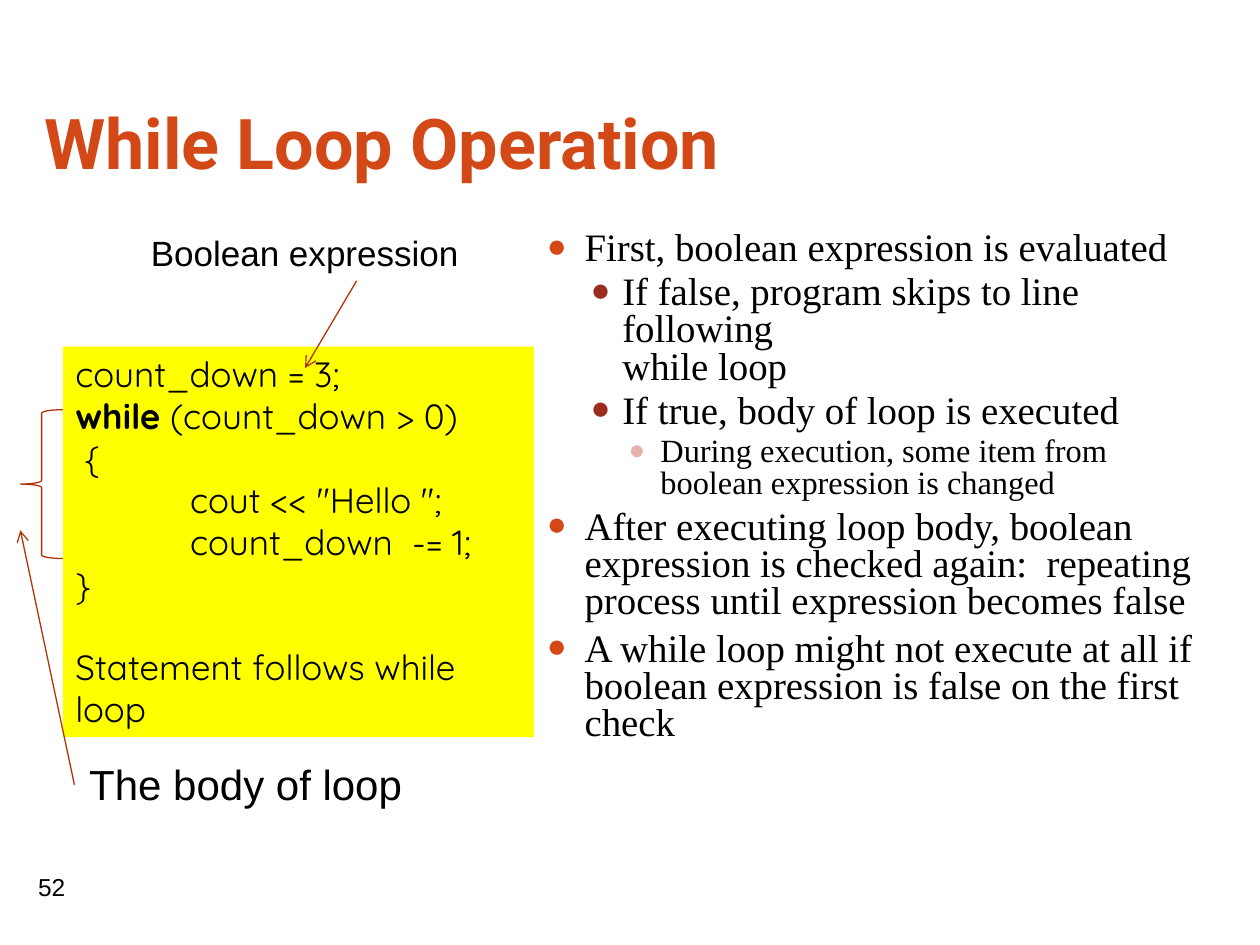
from lxml.etree import SubElement
from pptx import Presentation
from pptx.dml.color import RGBColor
from pptx.enum.shapes import MSO_CONNECTOR, MSO_SHAPE
from pptx.enum.text import MSO_ANCHOR, MSO_AUTO_SIZE, PP_ALIGN
from pptx.oxml.ns import qn
from pptx.util import Cm, Pt

ORANGE = RGBColor(0xD3, 0x48, 0x17)
DARK_RED = RGBColor(0x9B, 0x2D, 0x1F)
PINK = RGBColor(0xE6, 0xB1, 0xAB)
RUST = RGBColor(0xAF, 0x34, 0x08)
YELLOW = RGBColor(0xFF, 0xFF, 0x00)
BLACK = RGBColor(0, 0, 0)

# Level: left margin, hanging indent (cm), space before, text size, bullet colour
LEVELS = [
    (0.76, 0.76, 5.8, 22.2, ORANGE),
    (1.52, 0.64, 3.7, 22.2, DARK_RED),
    (2.29, 0.64, 3.7, 18.5, PINK),
]
STEPS = [
    (0, "First, boolean expression is evaluated"),
    (1, "If false, program skips to line following \nwhile loop"),
    (1, "If true, body of loop is executed"),
    (2, "During execution, some item from boolean expression is changed"),
    (0, "After executing loop body, boolean \nexpression is checked again:  repeating  "
        "process until expression becomes false"),
    (0, "A while loop might not execute at all if \n"
        "boolean expression is false on the first check"),
]
LOOP_CODE = """ (count_down > 0)
 {
            cout << "Hello ";
            count_down  -= 1;
}"""


def apply(target, formats):
    for name, value in formats.items():
        setattr(target, name, value)


def place(shape, box):
    apply(shape, dict(zip(("left", "top", "width", "height"), map(Cm, box))))


def write(para, text, name, size, color=BLACK, bold=False):
    for number, line in enumerate(text.split("\n")):
        if number:
            para.add_line_break()
        span = para.add_run()
        span.text = line
        apply(span.font, {"name": name, "size": Pt(size), "bold": bold})
        span.font.color.rgb = color


def add_bullet(para, margin, hanging, color):
    props = para._p.get_or_add_pPr()
    props.set("marL", str(Cm(margin)))
    props.set("indent", str(-Cm(hanging)))
    fill = SubElement(props, qn("a:buClr"))
    SubElement(fill, qn("a:srgbClr"), val=str(color))
    SubElement(props, qn("a:buSzPct"), val="85000")
    SubElement(props, qn("a:buChar"), char="●")


def add_plain_shape(page, kind, box):
    shape = page.shapes.add_shape(kind, *map(Cm, box))
    shape.shadow.inherit = False
    shape.fill.background()
    shape.line.fill.background()
    return shape


def add_label(page, box, text, size):
    label = page.shapes.add_textbox(*map(Cm, box))
    apply(label.text_frame, {"word_wrap": False, "auto_size": MSO_AUTO_SIZE.SHAPE_TO_FIT_TEXT})
    write(label.text_frame.paragraphs[0], text, "Arial", size)


def add_arrow(page, start, end):
    arrow = page.shapes.add_connector(MSO_CONNECTOR.STRAIGHT, *map(Cm, start + end))
    arrow.line.color.rgb = RUST
    arrow.line.width = Pt(0.75)
    SubElement(arrow.line._get_or_add_ln(), qn("a:tailEnd"), type="arrow")
    SubElement(arrow._element.spPr, qn("a:effectLst"))


def fill_title(page, box):
    title = page.shapes.title
    place(title, box)
    apply(title.text_frame, {
        "vertical_anchor": MSO_ANCHOR.BOTTOM, "margin_bottom": Cm(0.25),
        "auto_size": MSO_AUTO_SIZE.NONE, "word_wrap": True,
    })
    para = title.text_frame.paragraphs[0]
    para.alignment = PP_ALIGN.LEFT
    write(para, "While Loop Operation", "Roboto", 40, ORANGE, True)


def fill_steps(page, box):
    body = page.placeholders[1]
    place(body, box)
    frame = body.text_frame
    apply(frame, {"auto_size": MSO_AUTO_SIZE.NONE, "word_wrap": True})
    for number, (level, text) in enumerate(STEPS):
        para = frame.add_paragraph() if number else frame.paragraphs[0]
        margin, hanging, before, size, color = LEVELS[level]
        add_bullet(para, margin, hanging, color)
        apply(para, {"level": level, "line_spacing": 0.8,
                     "space_before": Pt(before if number else 0)})
        write(para, text, "Times New Roman", size)


def add_code_region(page, box):
    left, top = box[:2]

    def at(x, y, *size):
        return (left + x, top + y, *size)

    # Code listing
    code = add_plain_shape(page, MSO_SHAPE.RECTANGLE, at(0.86, 2.44, 9.5, 7.87))
    code.fill.solid()
    code.fill.fore_color.rgb = YELLOW
    frame = code.text_frame
    apply(frame, {"word_wrap": True, "vertical_anchor": MSO_ANCHOR.TOP})
    first, loop, after = frame.paragraphs[0], frame.add_paragraph(), frame.add_paragraph()
    for para in (first, loop, after):
        para.alignment = PP_ALIGN.LEFT
    write(first, "count_down = 3;", "Quicksand", 20)
    write(loop, "while", "Quicksand", 20, bold=True)
    write(loop, LOOP_CODE, "Quicksand", 20)
    after.space_before = Pt(23)
    write(after, "Statement follows while loop", "Quicksand", 20)

    # Condition callout
    add_label(page, at(2.38, 0, 6.71, 1.12), "Boolean expression", 20)
    add_arrow(page, at(6.78, 1.11), at(5.74, 2.87))

    # Loop body callout
    add_label(page, at(1.14, 10.61, 7.04, 1.27), "The body of loop", 24)
    brace = add_plain_shape(page, MSO_SHAPE.LEFT_BRACE, at(0, 3.71, 0.86, 3))
    brace.line.color.rgb = RUST
    brace.line.width = Pt(0.75)
    add_arrow(page, at(1.09, 11.27), at(0, 6.14))


def add_page_number(page, box):
    number = add_plain_shape(page, MSO_SHAPE.OVAL, box)
    frame = number.text_frame
    apply(frame, dict.fromkeys(
        ("margin_left", "margin_top", "margin_right", "margin_bottom"), 0))
    apply(frame, {"vertical_anchor": MSO_ANCHOR.MIDDLE, "word_wrap": True})
    para = frame.paragraphs[0]
    para.alignment = PP_ALIGN.CENTER
    write(para, "52", "Arial", 14)


def main():
    deck = Presentation()
    apply(deck, {"slide_width": Cm(25.4), "slide_height": Cm(19.05)})
    page = deck.slides.add_slide(deck.slide_layouts[1])
    fill_title(page, (0.64, 0.76, 21.59, 3.18))
    add_page_number(page, (0.41, 17.25, 1.27, 1.27))
    fill_steps(page, (10.77, 4.55, 14, 13.97))
    add_code_region(page, (0.41, 4.55, 10.36, 11.88))
    deck.save("out.pptx")


if __name__ == "__main__":
    main()
